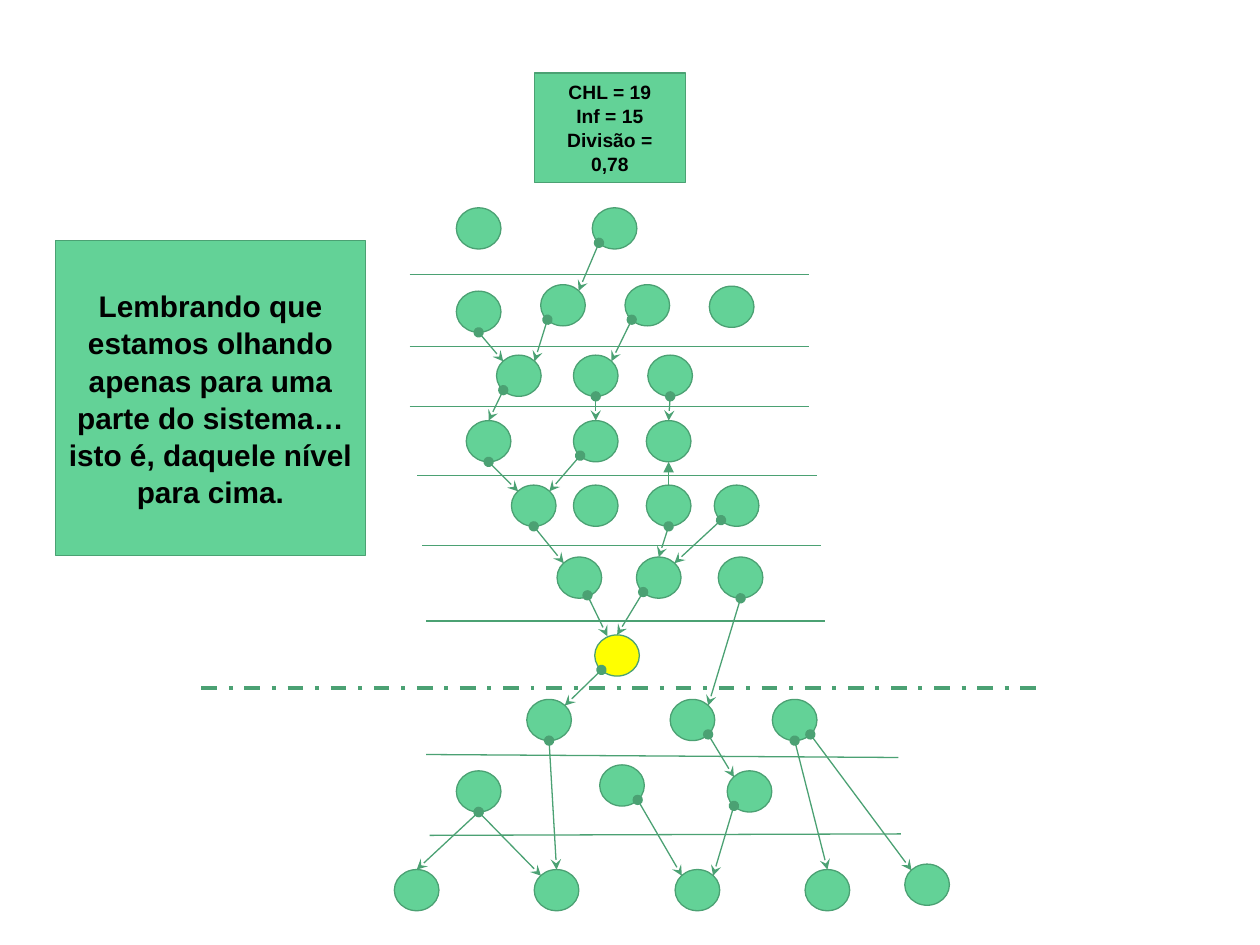
from dataclasses import dataclass
from enum import Enum
from typing import Optional

from lxml.etree import SubElement
from pptx import Presentation
from pptx.dml.color import RGBColor
from pptx.enum.dml import MSO_LINE
from pptx.enum.shapes import MSO_CONNECTOR, MSO_SHAPE
from pptx.enum.text import MSO_ANCHOR, PP_ALIGN
from pptx.oxml.ns import qn
from pptx.util import Cm, Pt


@dataclass(frozen=True)
class Theme:
    fill: RGBColor = RGBColor(0x63, 0xD2, 0x97)
    line: RGBColor = RGBColor(0x4B, 0xA1, 0x73)
    accent: RGBColor = RGBColor(0xFF, 0xFF, 0x00)
    text: RGBColor = RGBColor(0x00, 0x00, 0x00)
    font: str = "Arial"
    small: float = 11
    large: float = 17
    thin: float = 0.75
    thick: float = 2.25


THEME = Theme()
NODE_W, NODE_H = 0.9, 0.83


class Site(Enum):
    """Point on a node, as fractions of its width and height."""
    TOP = (0.5, 0)
    TL = (0.15, 0.15)
    TR = (0.85, 0.15)
    BOTTOM = (0.5, 1)
    BL = (0.15, 0.85)
    BR = (0.85, 0.85)
    TOP_INNER = (0.28, 0.03)
    BOTTOM_INNER = (0.68, 0.93)


@dataclass(frozen=True)
class Node:
    x: float
    y: float

    def at(self, site: Site) -> tuple[float, float]:
        fx, fy = site.value
        return self.x + fx * NODE_W, self.y + fy * NODE_H


@dataclass(frozen=True)
class Edge:
    source: str
    leave: Site
    target: str
    enter: Site


@dataclass(frozen=True)
class Divider:
    x1: float
    y1: float
    x2: float
    y2: float


def level(name: str, y: float, *xs: float) -> dict[str, Node]:
    return {f"{name}{i}": Node(x, y) for i, x in enumerate(xs, 1)}


# Levels from top to bottom, in cm
NODES = {
    **level("A", 4.19, 9.2, 11.94),
    **level("B", 5.74, 9.2, 10.9, 12.6, 14.3),
    **level("C", 7.16, 10.01, 11.56, 13.06),
    **level("D", 8.48, 9.4, 11.56, 13.03),
    **level("E", 9.78, 10.31, 11.56, 13.03, 14.4),
    **level("F", 11.23, 11.23, 12.83, 14.48),
    **level("G", 12.8, 11.99),
    **level("H", 14.1, 10.62, 13.51, 15.57),
    **level("I", 15.54, 9.2, 12.09, 14.66),
    **level("J", 17.53, 7.95, 10.77, 13.61, 16.23, 18.24),
    # Nodes slightly off their level
    "B1": Node(9.2, 5.87),
    "B4": Node(14.3, 5.77),
    "I2": Node(12.09, 15.42),
    "J5": Node(18.24, 17.42),
}
FOCUS = "G1"

EDGES = [
    Edge("A2", Site.BL, "B2", Site.TR),
    Edge("B1", Site.BOTTOM, "C1", Site.TL),
    Edge("B2", Site.BL, "C1", Site.TR),
    Edge("B3", Site.BL, "C2", Site.TR),
    Edge("C1", Site.BL, "D1", Site.TOP),
    Edge("C2", Site.BOTTOM, "D2", Site.TOP),
    Edge("C3", Site.BOTTOM, "D3", Site.TOP),
    Edge("D1", Site.BOTTOM, "E1", Site.TL),
    Edge("D2", Site.BL, "E1", Site.TR),
    Edge("E1", Site.BOTTOM, "F1", Site.TL),
    Edge("E3", Site.BOTTOM, "F2", Site.TOP),
    Edge("E4", Site.BL, "F2", Site.TR),
    Edge("F1", Site.BOTTOM_INNER, "G1", Site.TOP_INNER),
    Edge("F2", Site.BL, "G1", Site.TOP),
    Edge("F3", Site.BOTTOM, "H2", Site.TR),
    Edge("G1", Site.BL, "H1", Site.TR),
    Edge("H1", Site.BOTTOM, "J2", Site.TOP),
    Edge("H2", Site.BR, "I3", Site.TL),
    Edge("H3", Site.BOTTOM, "J4", Site.TOP),
    Edge("H3", Site.BR, "J5", Site.TL),
    Edge("I1", Site.BOTTOM, "J1", Site.TOP),
    Edge("I1", Site.BOTTOM, "J2", Site.TL),
    Edge("I2", Site.BR, "J3", Site.TL),
    Edge("I3", Site.BL, "J3", Site.TR),
]
UPWARD = Edge("E3", Site.TOP, "D3", Site.BOTTOM)

DIVIDERS = [Divider(x, y, x + 8.05, y) for x, y in (
    (8.26, 5.54), (8.26, 6.99), (8.26, 8.2),
    (8.41, 9.58), (8.51, 11), (8.59, 12.52))] + [
    Divider(8.59, 15.21, 18.11, 15.27),
    Divider(8.66, 16.84, 18.16, 16.81),
]
BOUNDARY = Divider(4.06, 13.87, 21.03, 13.87)


def add_filled(s, kind: MSO_SHAPE, x: float, y: float, w: float, h: float,
               color: RGBColor = THEME.fill):
    sp = s.shapes.add_shape(kind, Cm(x), Cm(y), Cm(w), Cm(h))
    sp.shadow.inherit = False
    sp.fill.solid()
    sp.fill.fore_color.rgb = color
    sp.line.color.rgb = THEME.line
    sp.line.width = Pt(THEME.thin)
    return sp


def write(sp, text: str, *, size: float, bold: bool = True,
          color: RGBColor = THEME.text, spacing: float = 1.04) -> None:
    tf = sp.text_frame
    tf.word_wrap = True
    tf.vertical_anchor = MSO_ANCHOR.MIDDLE
    tf.margin_left = tf.margin_right = tf.margin_top = tf.margin_bottom = Cm(0.25)
    for i, line in enumerate(text.split("\n")):
        p = tf.add_paragraph() if i else tf.paragraphs[0]
        p.alignment = PP_ALIGN.CENTER
        p.line_spacing = spacing
        r = p.add_run()
        r.text = line
        r.font.name, r.font.size, r.font.bold = THEME.font, Pt(size), bold
        r.font.color.rgb = color


def add_line(s, start: tuple[float, float], end: tuple[float, float], *,
             width: float = THEME.thin, dash: Optional[MSO_LINE] = None,
             head: Optional[str] = None, tail: Optional[str] = None) -> None:
    cx = s.shapes.add_connector(MSO_CONNECTOR.STRAIGHT,
                                *(Cm(v) for v in (*start, *end)))
    cx.line.color.rgb = THEME.line
    cx.line.width = Pt(width)
    if dash is not None:
        cx.line.dash_style = dash
    ln = cx.line._get_or_add_ln()
    for tag, end_type in (("a:headEnd", head), ("a:tailEnd", tail)):
        if end_type:
            SubElement(ln, qn(tag), type=end_type)
    SubElement(cx._element.spPr, qn("a:effectLst"))


def main() -> None:
    prs = Presentation()
    prs.slide_width, prs.slide_height = Cm(25.4), Cm(19.05)
    s = prs.slides.add_slide(prs.slide_layouts[6])

    # Text boxes
    write(add_filled(s, MSO_SHAPE.RECTANGLE, 10.77, 1.47, 3.05, 2.21),
          "CHL = 19\nInf = 15\nDivisão = 0,78", size=THEME.small)
    write(add_filled(s, MSO_SHAPE.RECTANGLE, 1.12, 4.85, 6.25, 6.35),
          "Lembrando que estamos olhando apenas para uma parte do sistema… "
          "isto é, daquele nível para cima.", size=THEME.large)

    # Nodes
    for name, node in NODES.items():
        add_filled(s, MSO_SHAPE.OVAL, node.x, node.y, NODE_W, NODE_H,
                   THEME.accent if name == FOCUS else THEME.fill)

    # Edges run from the target back to the source
    for e in EDGES:
        add_line(s, NODES[e.target].at(e.enter), NODES[e.source].at(e.leave),
                 head="stealth", tail="oval")
    add_line(s, NODES[UPWARD.source].at(UPWARD.leave),
             NODES[UPWARD.target].at(UPWARD.enter), tail="triangle")

    # Level dividers and system boundary
    for d in DIVIDERS:
        add_line(s, (d.x1, d.y1), (d.x2, d.y2))
    add_line(s, (BOUNDARY.x1, BOUNDARY.y1), (BOUNDARY.x2, BOUNDARY.y2),
             width=THEME.thick, dash=MSO_LINE.DASH_DOT)

    prs.save("out.pptx")


if __name__ == "__main__":
    main()
